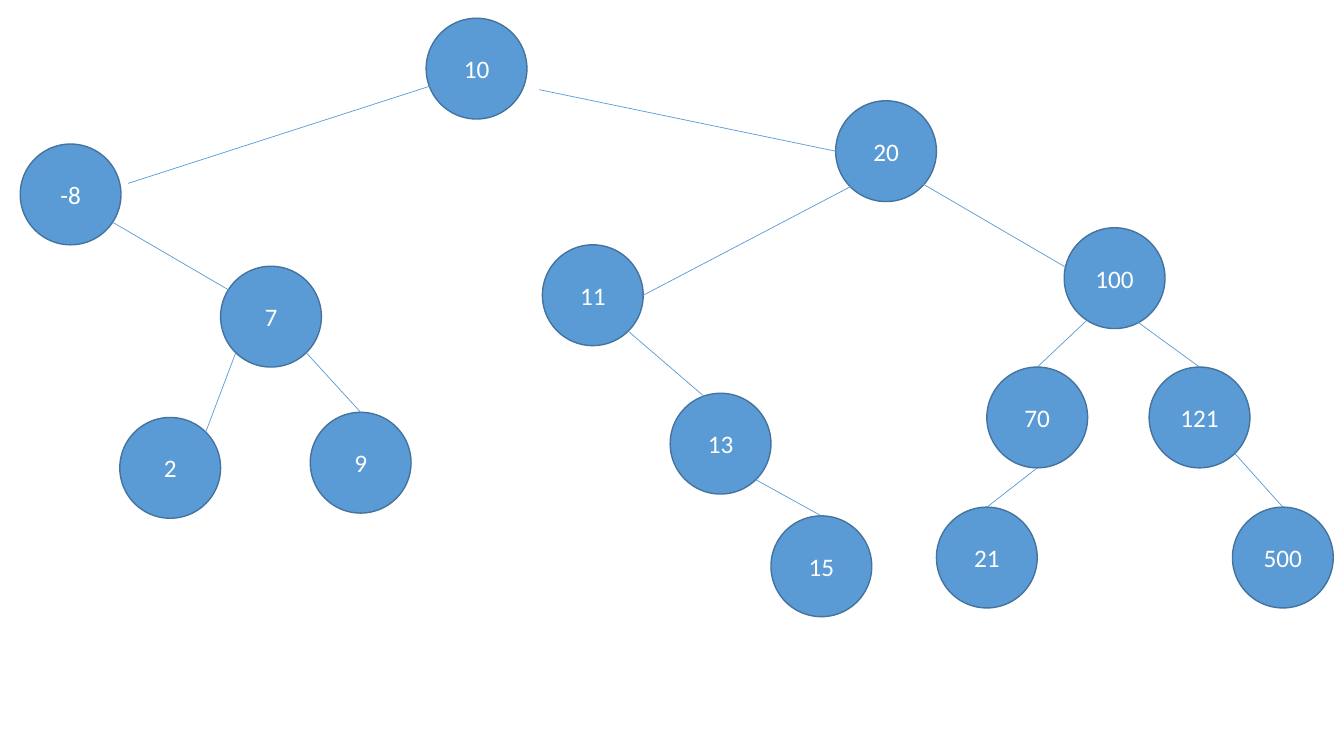
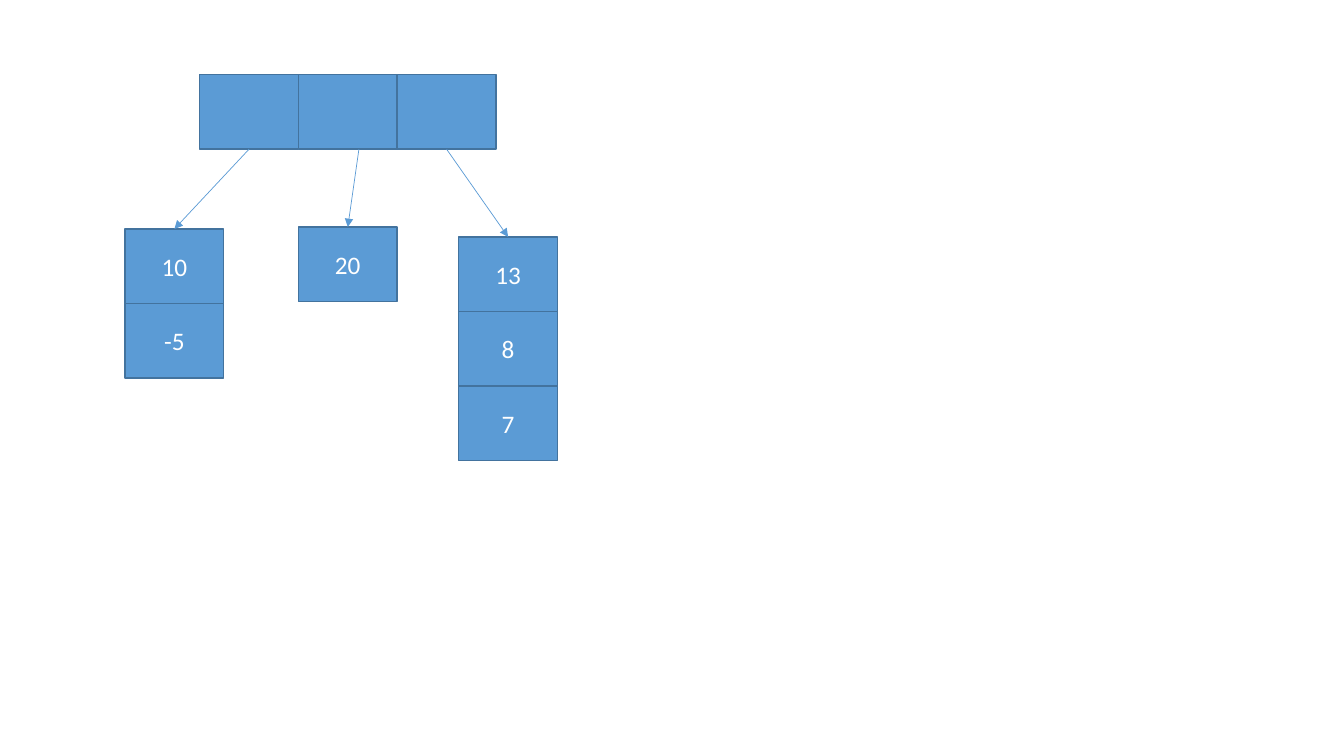
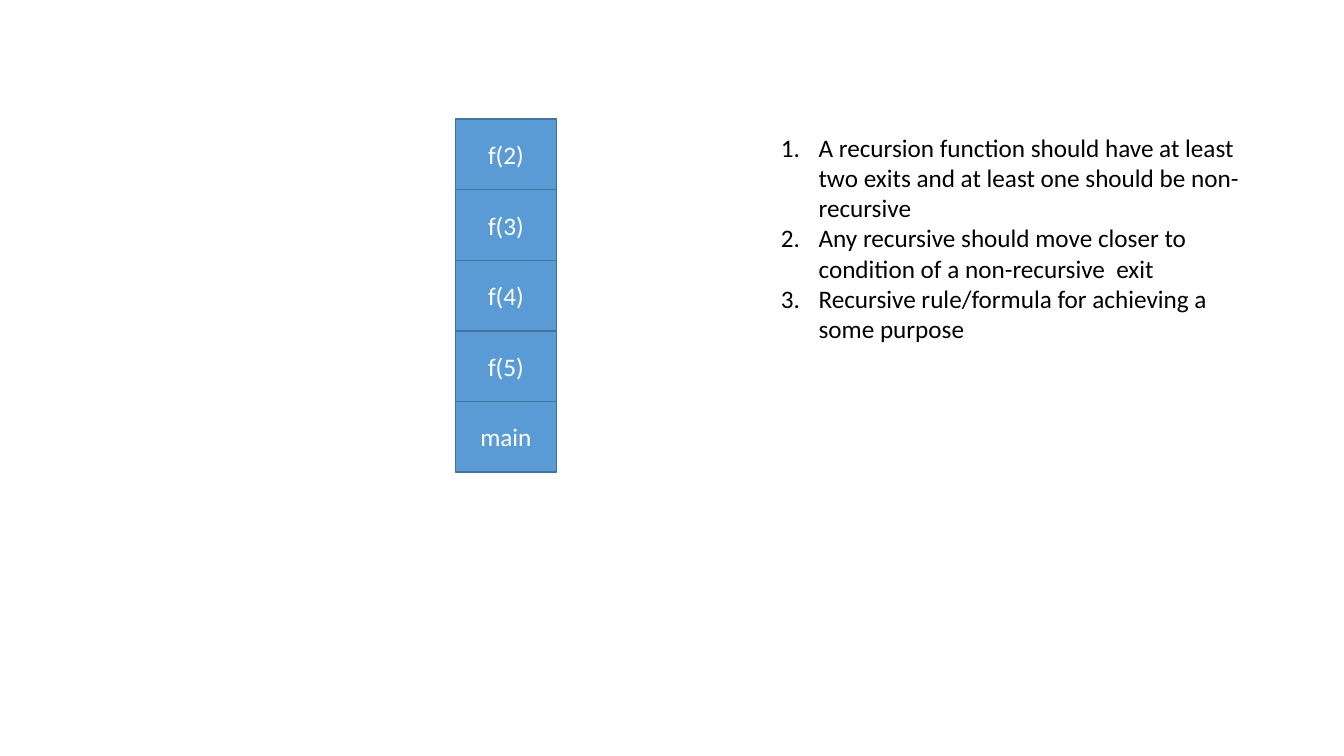
from dataclasses import dataclass

from lxml import etree
from pptx import Presentation
from pptx import util as u
from pptx.dml.color import RGBColor
from pptx.enum import shapes, text
from pptx.oxml.ns import qn


@dataclass(frozen=True)
class Theme:
    fill: RGBColor = RGBColor.from_string("5B9BD5")
    outline: RGBColor = RGBColor.from_string("43739E")
    light: RGBColor = RGBColor.from_string("FFFFFF")
    dark: RGBColor = RGBColor.from_string("000000")
    font: str = "Calibri"
    text_size: u.Pt = u.Pt(18)
    outline_width: u.Pt = u.Pt(1)
    line_width: u.Pt = u.Pt(0.5)


theme = Theme()


def add_text(slide, content, *, at, size, kind=None, colour=theme.light,
             align=text.PP_ALIGN.CENTER, anchor=text.MSO_ANCHOR.MIDDLE, numbered=False):
    bounds = [u.Cm(length) for length in (*at, *size)]
    if kind is None:
        shape = slide.shapes.add_textbox(*bounds)
        shape.text_frame.auto_size = text.MSO_AUTO_SIZE.SHAPE_TO_FIT_TEXT
    else:
        shape = slide.shapes.add_shape(kind, *bounds)
        shape.shadow.inherit = False
        shape.fill.solid()
        shape.fill.fore_color.rgb = theme.fill
        shape.line.color.rgb = theme.outline
        shape.line.width = theme.outline_width
    frame = shape.text_frame
    frame.word_wrap = True
    frame.vertical_anchor = anchor
    frame.text = content
    for paragraph in frame.paragraphs:
        paragraph.alignment = align
        paragraph.font.name = theme.font
        paragraph.font.size = theme.text_size
        paragraph.font.color.rgb = colour
        if numbered:
            properties = paragraph._p.get_or_add_pPr()
            properties.set("marL", str(u.Cm(0.95)))
            properties.set("indent", str(-u.Cm(0.95)))
            number = etree.Element(qn("a:buAutoNum"), type="arabicPeriod")
            properties.insert(0, number)
    return shape


def add_line(slide, start, end, *, begin_shape=None, end_shape=None, arrow=False):
    line = slide.shapes.add_connector(
        shapes.MSO_CONNECTOR.STRAIGHT, *[u.Cm(length) for length in (*start, *end)])
    if begin_shape is not None:
        line.begin_connect(begin_shape, 2)
    if end_shape is not None:
        line.end_connect(end_shape, 0)
    line.line.color.rgb = theme.fill
    line.line.width = theme.line_width
    if arrow:
        etree.SubElement(line.line._get_or_add_ln(), qn("a:tailEnd"), type="triangle")
    etree.SubElement(line._element.spPr, qn("a:effectLst"))


presentation = Presentation()
presentation.slide_width = u.Cm(33.87)
presentation.slide_height = u.Cm(19.05)
blank = presentation.slide_layouts[6]
oval = shapes.MSO_SHAPE.OVAL
rectangle = shapes.MSO_SHAPE.RECTANGLE

tree_slide = presentation.slides.add_slide(blank)
nodes = {
    "10": (10.74, 0.46),
    "20": (21.06, 2.54),
    "11": (13.67, 6.17),
    "-8": (0.51, 3.63),
    "7": (5.56, 6.71),
    "13": (16.89, 9.91),
    "9": (7.82, 10.39),
    "100": (26.82, 5.74),
    "2": (3.02, 10.52),
    "70": (24.87, 9.25),
    "15": (19.43, 13),
    "21": (23.6, 12.78),
    "121": (28.96, 9.25),
    "500": (31.06, 12.78),
}
for value, place in nodes.items():
    add_text(tree_slide, value, at=place, size=(2.54, 2.54), kind=oval)

branches = [
    ((13.59, 2.26), (21.06, 3.81)),
    ((3.23, 4.62), (10.87, 2.16)),
    ((16.21, 7.44), (21.44, 4.7)),
    ((2.82, 5.59), (6.78, 7.9)),
    ((7.72, 8.89), (9.09, 10.39)),
    ((22.89, 4.42), (26.85, 6.73)),
    ((15.85, 8.36), (18.21, 10.39)),
    ((5.18, 10.9), (5.94, 8.89)),
    ((19.05, 12.09), (20.7, 13)),
    ((26.14, 9.25), (27.38, 8.08)),
    ((31.12, 11.43), (32.33, 12.78)),
    ((28.65, 8.1), (30.23, 9.25)),
    ((26.14, 11.79), (24.87, 12.78)),
]
for start, end in branches:
    add_line(tree_slide, start, end)

bucket_slide = presentation.slides.add_slide(blank)
cell_width, cell_height = 2.49, 1.88
buckets_left, buckets_top = 5.03, 1.88
chains = [
    ((3.15, 5.77), ["10", "-5"], 0),
    ((7.52, 5.72), ["20"], 0.28),
    ((11.56, 5.97), ["13", "8", "7"], 0),
]
for index, ((left, top), values, shift) in enumerate(chains):
    bucket_left = buckets_left + index * cell_width
    bucket = add_text(bucket_slide, "", at=(bucket_left, buckets_top),
                      size=(cell_width, cell_height), kind=rectangle)
    cells = [
        add_text(bucket_slide, value, at=(left, top + row * cell_height),
                 size=(cell_width, cell_height), kind=rectangle)
        for row, value in enumerate(values)
    ]
    add_line(bucket_slide,
             (bucket_left + cell_width / 2 + shift, buckets_top + cell_height),
             (left + cell_width / 2, top),
             begin_shape=None if shift else bucket, end_shape=cells[0], arrow=True)

recursion_slide = presentation.slides.add_slide(blank)
call_height = 1.78
for row, call in enumerate(["f(2)", "f(3)", "f(4)", "f(5)", "main"]):
    add_text(recursion_slide, call, at=(11.48, 3 + row * call_height),
             size=(2.54, call_height), kind=rectangle)

rules = [
    "A recursion function should have at least two exits and at least one should be non-recursive",
    "Any recursive should move closer to condition of a non-recursive  exit",
    "Recursive rule/formula for achieving a some purpose",
]
add_text(recursion_slide, "\n".join(rules), at=(19.43, 3.2), size=(12.73, 5.64),
         colour=theme.dark, align=text.PP_ALIGN.LEFT, anchor=text.MSO_ANCHOR.TOP,
         numbered=True)

presentation.save("out.pptx")
